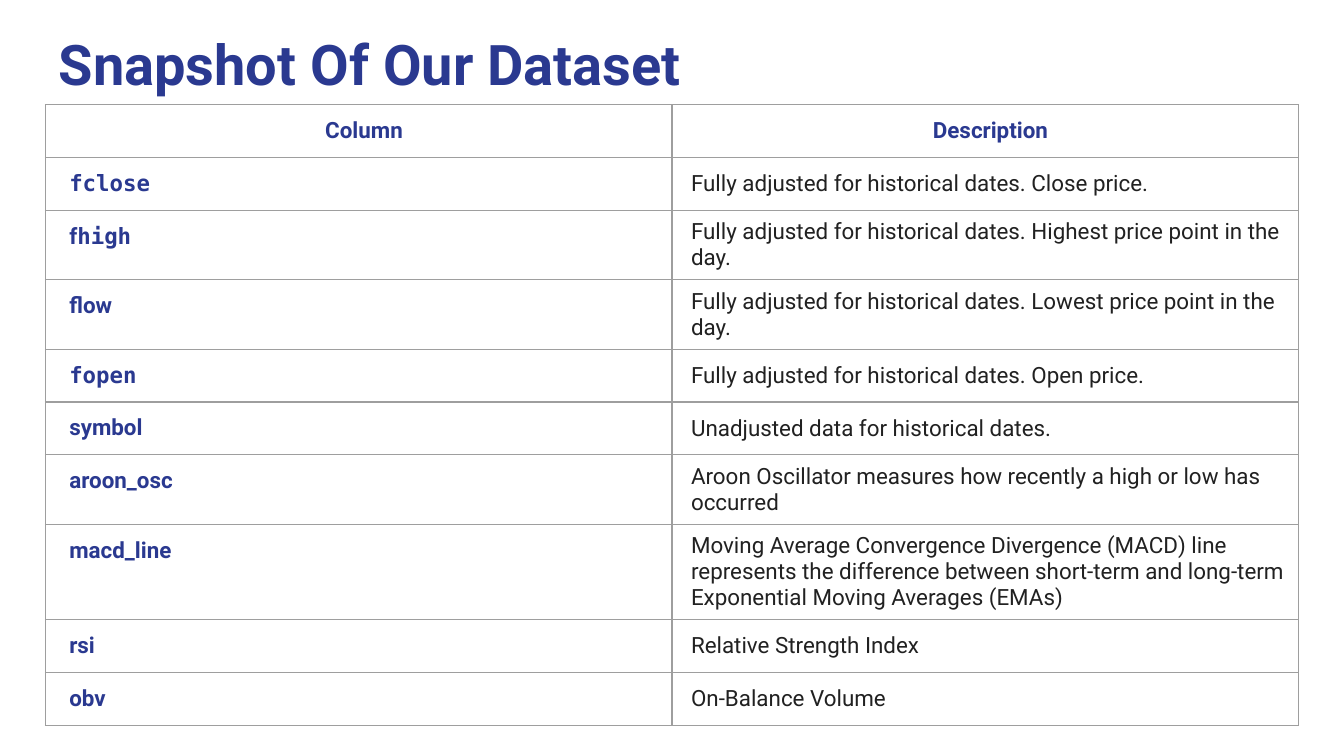
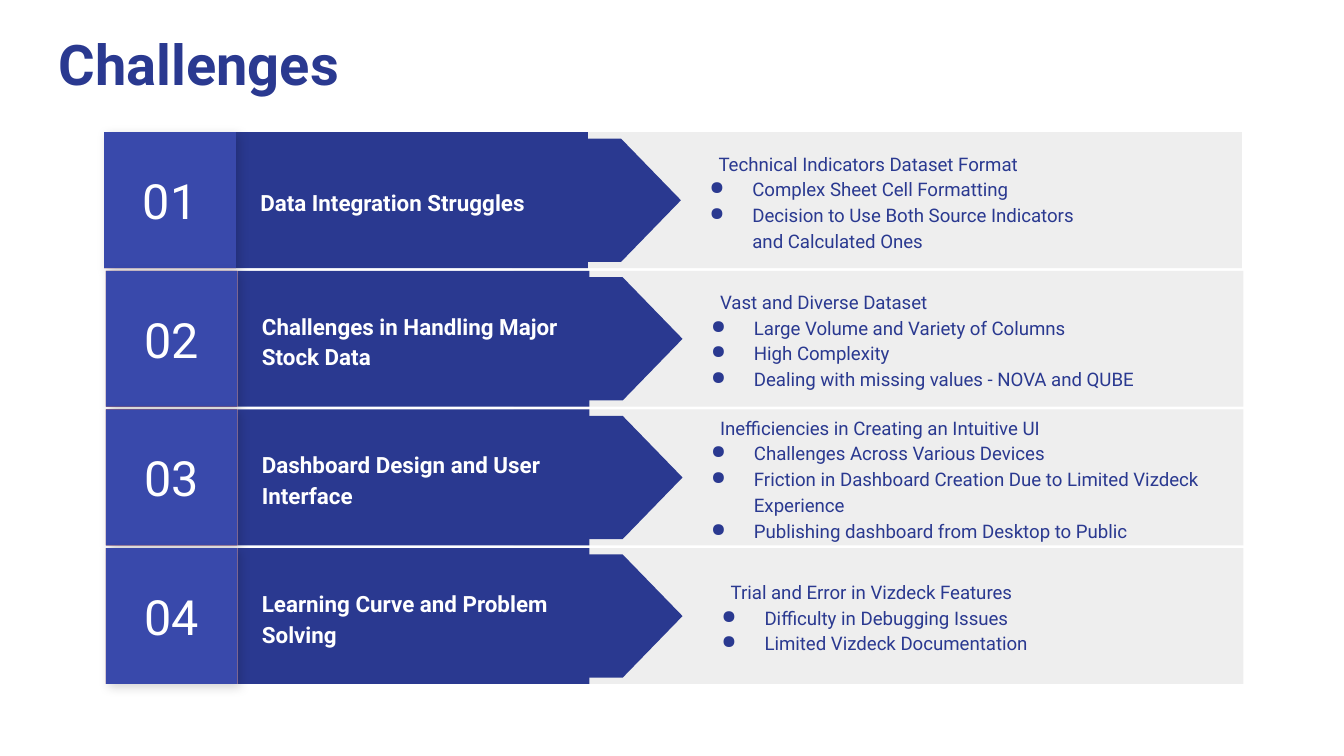
from lxml.etree import SubElement
from pptx import Presentation
from pptx.dml.color import RGBColor
from pptx.enum.shapes import MSO_SHAPE
from pptx.enum.text import MSO_ANCHOR, MSO_AUTO_SIZE, PP_ALIGN
from pptx.oxml.ns import qn
from pptx.util import Cm, Pt

# Shared look
NAVY, BLUE, RED = "2A3990", "3949AB", "B02B20"
GREY, WHITE, INK, RULE = "EEEEEE", "FFFFFF", "212121", "9E9E9E"
SANS, MONO = "Roboto", "DejaVu Sans Mono"
TITLE = dict(name=SANS, size=Pt(30), bold=True)
STRONG = dict(name=SANS, size=Pt(12), bold=True)
CODE = dict(name=MONO, size=Pt(12), bold=True)
PLAIN = dict(name=SANS, size=Pt(12), bold=False)
DIGIT = dict(name=SANS, size=Pt(26), bold=False)
SMALL = dict(name=SANS, size=Pt(10), bold=False)
TOP, MIDDLE = MSO_ANCHOR.TOP, MSO_ANCHOR.MIDDLE

# Slide 1: column name as (text, format) runs, then its description
HEADS = ["Column", "Description"]
FIELDS = [
    ([("fclose", CODE)], "Fully adjusted for historical dates. Close price."),
    ([("f", STRONG), ("high", CODE)],
     "Fully adjusted for historical dates. Highest price point in the day."),
    ([("flow", STRONG)],
     "Fully adjusted for historical dates. Lowest price point in the day."),
    ([("fopen", CODE)], "Fully adjusted for historical dates. Open price."),
    ([("symbol", STRONG)], "Unadjusted data for historical dates."),
    ([("aroon_osc", STRONG)],
     "Aroon Oscillator measures how recently a high or low has occurred"),
    ([("macd_line", STRONG)],
     "Moving Average Convergence Divergence (MACD) line represents the "
     "difference between short-term and long-term Exponential Moving "
     "Averages (EMAs)"),
    ([("rsi", STRONG)], "Relative Strength Index"),
    ([("obv", STRONG)], "On-Balance Volume"),
]

# Slide 2: row left, name, note box (left, drop, width, height), anchor, notes
ISSUES = [
    (1.97, "Data Integration Struggles", (12.7, 0.07, 8.33, 2.41), TOP,
     ["Technical Indicators Dataset Format",
      "Complex Sheet Cell Formatting",
      "Decision to Use Both Source Indicators and Calculated Ones"]),
    (2, "Challenges in Handling Major Stock Data", (12.73, 0, 10.72, 2.57),
     MIDDLE,
     ["Vast and Diverse Dataset",
      "Large Volume and Variety of Columns",
      "High Complexity",
      "Dealing with missing values - NOVA and QUBE"]),
    (2, "Dashboard Design and User Interface", (12.73, 0, 10.72, 2.57),
     MIDDLE,
     ["Inefficiencies in Creating an Intuitive UI",
      "Challenges Across Various Devices",
      "Friction in Dashboard Creation Due to Limited Vizdeck Experience",
      "Publishing dashboard from Desktop to Public"]),
    (2, "Learning Curve and Problem Solving", (12.93, 0, 10.72, 2.57),
     MIDDLE,
     ["Trial and Error in Vizdeck Features",
      "Difficulty in Debugging Issues",
      "Limited Vizdeck Documentation"]),
]
FIRST, PITCH, TALL = 2.5, 2.62, 2.57


def paint(hue):
    return RGBColor.from_string(hue)


def place(box):
    return [Cm(v) for v in box]


def write(para, runs, hue):
    for text, look in runs:
        run = para.add_run()
        run.text = text
        for key, value in look.items():
            setattr(run.font, key, value)
        run.font.color.rgb = paint(hue)


def frame(shape, anchor):
    text = shape.text_frame
    pads = {"margin_" + side: Cm(0.25)
            for side in ("left", "right", "top", "bottom")}
    setup = dict(pads, word_wrap=True, vertical_anchor=anchor,
                 auto_size=MSO_AUTO_SIZE.NONE)
    for key, value in setup.items():
        setattr(text, key, value)
    return text


def start(deck, name):
    slide = deck.slides.add_slide(deck.slide_layouts[5])
    title = slide.shapes.title
    title.left, title.top, title.width, title.height = place(
        (0.86, 0.3, 23.67, 1.68))
    para = frame(title, TOP).paragraphs[0]
    para.alignment = PP_ALIGN.LEFT
    write(para, [(name, TITLE)], NAVY)
    return slide


def block(parts, kind, box, hue):
    shape = parts.add_shape(kind, *place(box))
    shape.shadow.inherit = False
    shape.fill.solid()
    shape.fill.fore_color.rgb = paint(hue)
    shape.line.fill.background()
    return shape


def glow(shape):
    effects = shape._element.spPr.find(qn("a:effectLst"))
    outer = SubElement(effects, qn("a:outerShdw"), blurRad=str(Pt(5.6)),
                       dist=str(Pt(2.2)), dir=str(45 * 60000),
                       algn="bl", rotWithShape="0")
    tint = SubElement(outer, qn("a:srgbClr"), val="000000")
    SubElement(tint, qn("a:alpha"), val="17000")


def indent(para, hang, bullet):
    props = para._p.get_or_add_pPr()
    props.set("marL", str(Cm(1.27)))
    props.set("indent", str(Cm(hang)))
    if bullet:
        tint = SubElement(props, qn("a:buClr"))
        SubElement(tint, qn("a:srgbClr"), val=NAVY)
        SubElement(props, qn("a:buChar"), char="●")
    para.line_spacing = 1.15


def fill(cell, runs, hue, pad, anchor=TOP, align=PP_ALIGN.LEFT):
    for side in ("left", "right", "top", "bottom"):
        setattr(cell, "margin_" + side, Cm(pad))
    cell.vertical_anchor = anchor
    para = cell.text_frame.paragraphs[0]
    para.alignment = align
    para._p.get_or_add_pPr().set("marL", str(Cm(0.2)))
    write(para, runs, hue)
    # Cell borders come before the fill
    props = cell._tc.get_or_add_tcPr()
    for edge in ("lnL", "lnR", "lnT", "lnB"):
        line = SubElement(props, qn("a:" + edge), w=str(Pt(0.75)))
        solid = SubElement(line, qn("a:solidFill"))
        SubElement(solid, qn("a:srgbClr"), val=RULE)
    cell.fill.background()


def dataset(deck):
    slide = start(deck, "Snapshot Of Our Dataset")
    count = len(FIELDS) + 1
    table = slide.shapes.add_table(
        count, 2, *place((0.86, 1.98, 23.68, 0.94 * count))).table
    table.first_row = table.horz_banding = False
    for col, head in enumerate(HEADS):
        fill(table.cell(0, col), [(head, STRONG)], NAVY, 0.25,
             align=PP_ALIGN.CENTER)
    for row, (runs, about) in enumerate(FIELDS, 1):
        fill(table.cell(row, 0), runs, NAVY, 0.25)
        fill(table.cell(row, 1), [(about, PLAIN)], INK, 0.16, MIDDLE)


def issue(slide, rank, left, name, box, anchor, notes):
    top = FIRST + PITCH * rank
    parts = slide.shapes.add_group_shape().shapes
    rect = MSO_SHAPE.RECTANGLE

    # Grey band, navy bar and its arrow tip
    block(parts, rect, (left + 7.71, top, 13.79, TALL), GREY)
    block(parts, rect, (left + 2.49, top, 6.65, TALL), NAVY)
    wide, tall = 2.33, 5.66
    arrow = block(parts, MSO_SHAPE.FLOWCHART_OFFPAGE_CONNECTOR,
                  (left + 8.07 - wide / 2, top + (TALL - tall) / 2,
                   wide, tall), NAVY)
    arrow.rotation = 270

    # Name on the bar
    label = parts.add_textbox(*place((left + 2.7, top + 0.31, 7.01, 1.98)))
    para = frame(label, MIDDLE).paragraphs[0]
    para.line_spacing = 1.15
    write(para, [(name, STRONG)], WHITE)

    # Number square over its shadow
    square = (left, top, 2.49, TALL)
    glow(block(parts, rect, square, RED))
    para = frame(block(parts, rect, square, BLUE), MIDDLE).paragraphs[0]
    para.alignment = PP_ALIGN.CENTER
    write(para, [(f"{rank + 1:02}", DIGIT)], WHITE)

    # Notes on the grey band
    x, drop, width, height = box
    body = parts.add_textbox(*place((x, top + drop, width, height)))
    text = frame(body, anchor)
    for spot, note in enumerate(notes):
        para = text.add_paragraph() if spot else text.paragraphs[0]
        indent(para, -0.81 if spot else -0.64, spot > 0)
        write(para, [(note, SMALL)], NAVY)


def main():
    deck = Presentation()
    deck.slide_width, deck.slide_height = Cm(25.4), Cm(14.29)
    dataset(deck)
    slide = start(deck, "Challenges")
    for rank, item in enumerate(ISSUES):
        issue(slide, rank, *item)
    deck.save("out.pptx")


if __name__ == "__main__":
    main()
